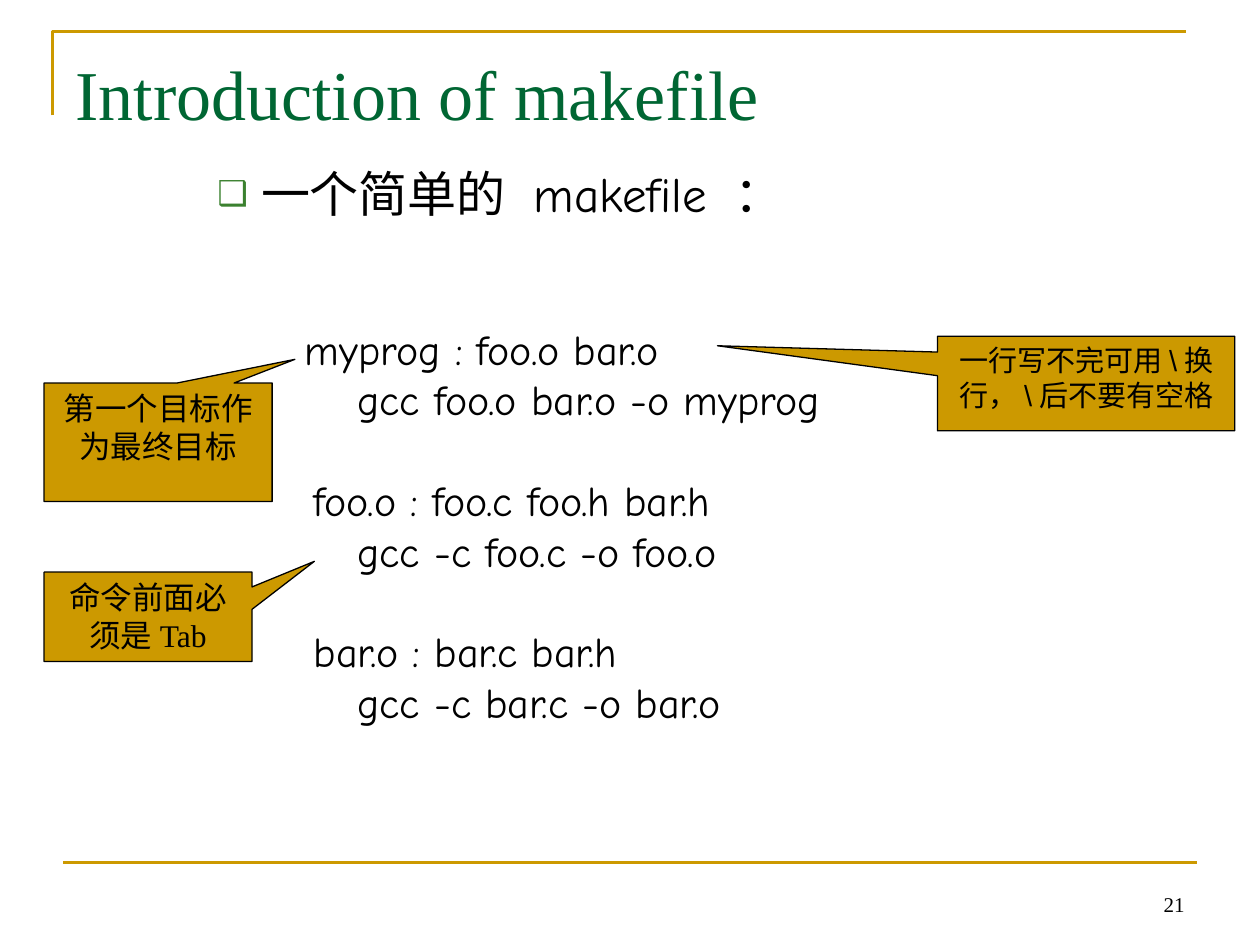
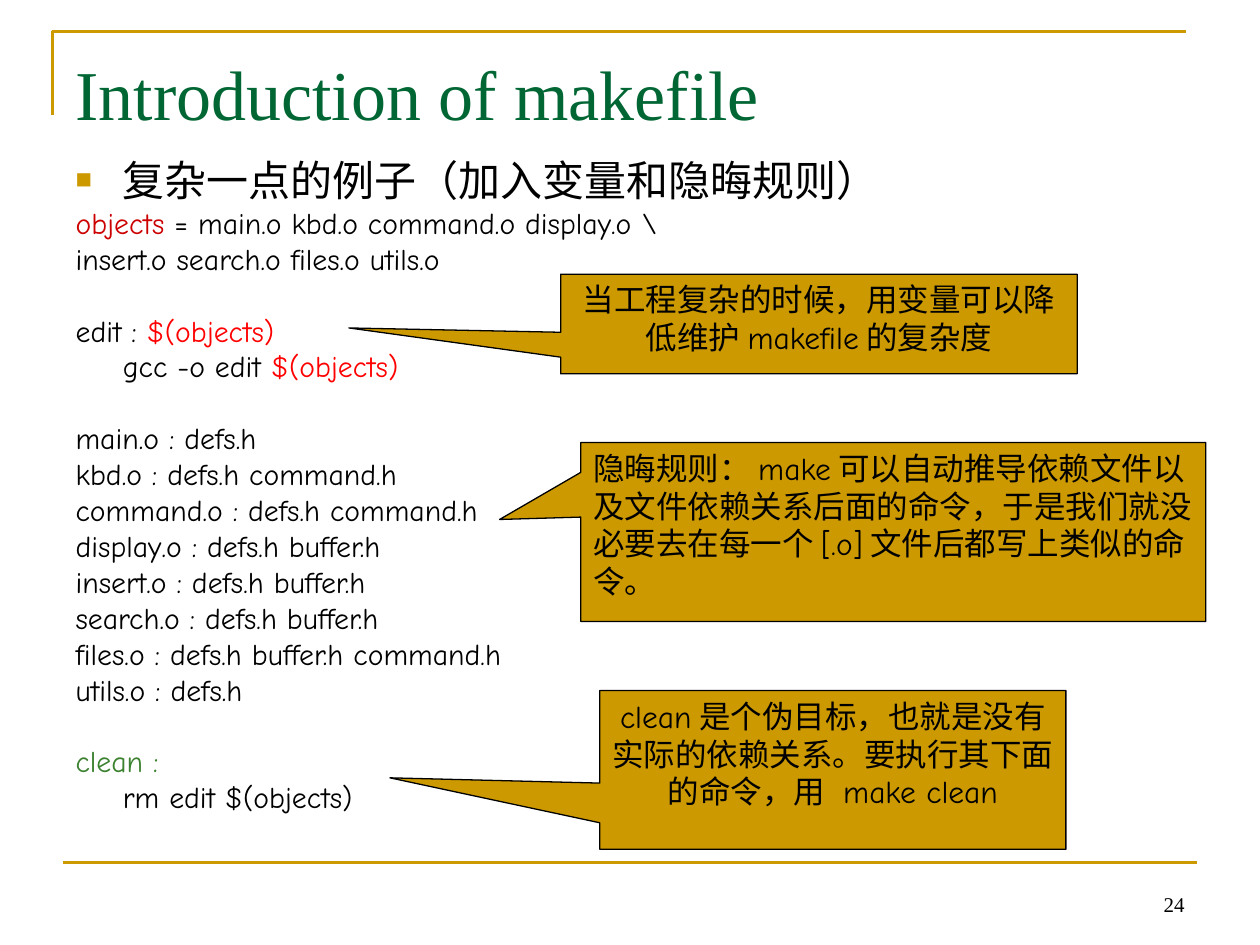
import pptx
import pptx.util
import pptx.dml.color
import pptx.enum.shapes
import pptx.enum.text
import pptx.oxml
import pptx.oxml.ns
from dataclasses import dataclass

Pt = pptx.util.Pt
ALIGN = pptx.enum.text.PP_ALIGN
ANCHOR = pptx.enum.text.MSO_ANCHOR


@dataclass(frozen=True)
class Theme:
    gold: str = "CC9900"
    green: str = "006633"
    leaf: str = "3B812F"
    black: str = "000000"
    crimson: str = "CC0000"
    red: str = "FF0000"
    serif: str = "Times New Roman"
    sans: str = "Arial"
    hand: str = "Comic Neue"
    cjk: str = "Noto Sans CJK SC"
    title_size: float = 40
    number_size: float = 12
    callout_size: float = 18
    rule: float = 1.5
    outline: float = 0.75


T = Theme()
TITLE = "Introduction of makefile"

# Content. A run is (text, font, colour); a code line is (indent or colour details, text).
SIMPLE_HEADING = [("一个简单的 ", T.sans, T.black), ("makefile ：", T.hand, T.black)]
SIMPLE_RULES = [  # (indent of the target, target line, command line)
    (131, "myprog : foo.o bar.o", "gcc foo.o bar.o -o myprog"),
    (136, "foo.o : foo.c foo.h bar.h", "gcc -c foo.c -o foo.o"),
    (136, "bar.o : bar.c bar.h", "gcc -c bar.c -o bar.o"),
]
COMMAND_INDENT = 161

COMPLEX_HEADING = [("复杂一点的例子（加入变量和隐晦规则）", T.sans, T.black)]
COMPLEX_BLOCKS = [  # blocks of code lines, each line a list of (text, colour)
    [[("objects ", T.crimson), ("= main.o kbd.o command.o display.o \\", T.black)],
     [("insert.o search.o files.o utils.o", T.black)]],
    [[("edit : ", T.black), ("$(objects)", T.red)],
     [("\tgcc -o edit ", T.black), ("$(objects)", T.red)]],
    [[(dependency, T.black)] for dependency in (
        "main.o : defs.h",
        "kbd.o : defs.h command.h",
        "command.o : defs.h command.h",
        "display.o : defs.h buffer.h",
        "insert.o : defs.h buffer.h",
        "search.o : defs.h buffer.h",
        "files.o : defs.h buffer.h command.h",
        "utils.o : defs.h")],
    [[("clean :", T.leaf)],
     [("\trm edit $(objects)", T.black)]],
]

# Callouts: box, pointer tip, alignment, size, runs of (text, font)
SIMPLE_CALLOUTS = [
    ((25.2, 218.9, 130.3, 67.7), (0.6, -0.7), ALIGN.CENTER, T.callout_size,
     [("第一个目标作为最终目标", T.sans)]),
    ((25.2, 326.9, 118.8, 51.1), (0.8, -0.62), ALIGN.CENTER, T.callout_size,
     [("命令前面必须是", T.sans), ("Tab", T.serif)]),
    ((535.7, 192.2, 169.9, 54), (-1.24, -0.4), ALIGN.CENTER, 16.6,
     [("一行写不完可用\\换行，\\后不要有空格", T.sans)]),
]
COMPLEX_CALLOUTS = [
    ((320.4, 156.7, 295.2, 56.9), (-0.91, 0.04), ALIGN.CENTER, T.callout_size,
     [("当工程复杂的时候，用变量可以降低维护", T.cjk), ("makefile", T.hand),
      ("的复杂度", T.cjk)]),
    ((331.9, 252.9, 357.1, 102.2), (-0.63, -0.07), ALIGN.LEFT, T.callout_size,
     [("隐晦规则：", T.cjk), ("make", T.hand),
      ("可以自动推导依赖文件以及文件依赖关系后面的命令，于是我们就没必要去在每一个", T.cjk),
      ("[.o]", T.hand), ("文件后都写上类似的命令。", T.cjk)]),
    ((342.7, 394.6, 266.4, 90.7), (-0.95, 0.05), ALIGN.CENTER, T.callout_size,
     [("clean", T.hand),
      ("是个伪目标，也就是没有实际的依赖关系。要执行其下面的命令，用 ", T.sans),
      ("make clean", T.hand)]),
]


# Text helpers
def rgb(color):
    return pptx.dml.color.RGBColor.from_string(color)


def add_child(parent, tag, **attributes):
    child = pptx.oxml.parse_xml(f"<{tag} {pptx.oxml.ns.nsdecls('a')}/>")
    for key, value in attributes.items():
        child.set(key, str(value))
    parent.append(child)
    return child


def add_run(paragraph, text, font, color, size):
    run = paragraph.add_run()
    run.text = text
    run.font.size = Pt(size)
    run.font.color.rgb = rgb(color)
    run.font.name = font
    add_child(run.font._element, "a:ea", typeface=T.hand)


def add_paragraph(frame, runs, size, left=0, hang=0, before=0, spacing=1.0, bullet=None):
    """Add a body paragraph; bullet is (character, colour, percent)."""
    first = not frame.paragraphs[0].runs
    paragraph = frame.paragraphs[0] if first else frame.add_paragraph()
    properties = paragraph._p.get_or_add_pPr()
    properties.set("marL", str(Pt(left)))
    properties.set("indent", str(-Pt(hang)))
    if bullet:
        character, color, percent = bullet
        add_child(add_child(properties, "a:buClr"), "a:srgbClr", val=color)
        add_child(properties, "a:buSzPct", val=percent * 1000)
        add_child(properties, "a:buChar", char=character)
    else:
        add_child(properties, "a:buNone")
    paragraph.alignment = ALIGN.LEFT
    paragraph.space_before = Pt(before)
    paragraph.line_spacing = spacing
    for text, font, color in runs:
        add_run(paragraph, text, font, color, size)


def place(shape, box, anchor):
    shape.left, shape.top, shape.width, shape.height = map(Pt, box)
    frame = shape.text_frame
    frame.word_wrap = True
    frame.auto_size = pptx.enum.text.MSO_AUTO_SIZE.NONE
    frame.vertical_anchor = anchor
    return frame


# Shared parts of every slide
def add_frame_lines(slide):
    builder = slide.shapes.build_freeform(Pt(30), Pt(66))
    builder.add_line_segments([(Pt(30), Pt(18)), (Pt(678), Pt(18))], close=False)
    corner = builder.convert_to_shape()
    corner.shadow.inherit = False
    corner.fill.background()
    footer = slide.shapes.add_connector(
        pptx.enum.shapes.MSO_CONNECTOR.STRAIGHT, Pt(36), Pt(493), Pt(684), Pt(493))
    for rule in (corner, footer):
        rule.line.color.rgb = rgb(T.gold)
        rule.line.width = Pt(T.rule)
    add_child(footer._element.spPr, "a:effectLst")


def start_slide(deck, number, body_width):
    slide = deck.slides.add_slide(deck.slide_layouts[1])
    add_frame_lines(slide)
    page = slide.shapes.add_textbox(0, 0, 0, 0)
    page_line = place(page, (516, 498, 168, 29.5), ANCHOR.BOTTOM).paragraphs[0]
    page_line.alignment = ALIGN.RIGHT
    add_run(page_line, str(number), T.serif, T.black, T.number_size)
    heading = place(slide.shapes.title, (36, 21.6, 648, 62), ANCHOR.MIDDLE).paragraphs[0]
    heading.alignment = ALIGN.LEFT
    add_run(heading, TITLE, T.serif, T.green, T.title_size)
    body = place(slide.placeholders[1], (36, 90, body_width, 396), ANCHOR.TOP)
    return slide, body


def add_callouts(slide, callouts):
    for box, tip, alignment, size, runs in callouts:
        callout = slide.shapes.add_shape(
            pptx.enum.shapes.MSO_SHAPE.RECTANGULAR_CALLOUT, 0, 0, 0, 0)
        note = place(callout, box, ANCHOR.TOP).paragraphs[0]
        callout.adjustments[0], callout.adjustments[1] = tip
        callout.shadow.inherit = False
        callout.fill.solid()
        callout.fill.fore_color.rgb = rgb(T.gold)
        callout.line.color.rgb = rgb(T.black)
        callout.line.width = Pt(T.outline)
        note.alignment = alignment
        for text, font in runs:
            add_run(note, text, font, T.black, size)


# Slides
def build_simple(deck):
    slide, body = start_slide(deck, 21, 684)
    size, line = 24, 28.8
    add_paragraph(body, SIMPLE_HEADING, 28, left=106, hang=25, bullet=("❑", T.leaf, 70))
    for index, (indent, target, command) in enumerate(SIMPLE_RULES):
        gap = line if index else 2 * line
        add_paragraph(body, [(target, T.hand, T.black)], size, left=indent, before=gap)
        add_paragraph(body, [(command, T.hand, T.black)], size, left=COMMAND_INDENT)
    add_callouts(slide, SIMPLE_CALLOUTS)


def build_complex(deck):
    slide, body = start_slide(deck, 24, 648)
    size, gap, line, hang = 17, 4.2, 20.5, 27
    add_paragraph(body, COMPLEX_HEADING, 24, left=hang, hang=hang, spacing=0.8,
                  bullet=("■", T.gold, 65))
    for block_index, block in enumerate(COMPLEX_BLOCKS):
        for line_index, parts in enumerate(block):
            opens_block = block_index > 0 and line_index == 0
            add_paragraph(body, [(text, T.hand, color) for text, color in parts], size,
                          left=hang, hang=hang, spacing=0.8,
                          before=gap + line if opens_block else gap)
    add_callouts(slide, COMPLEX_CALLOUTS)


def main():
    deck = pptx.Presentation()
    deck.slide_width, deck.slide_height = Pt(720), Pt(540)
    build_simple(deck)
    build_complex(deck)
    deck.save("out.pptx")


if __name__ == "__main__":
    main()
